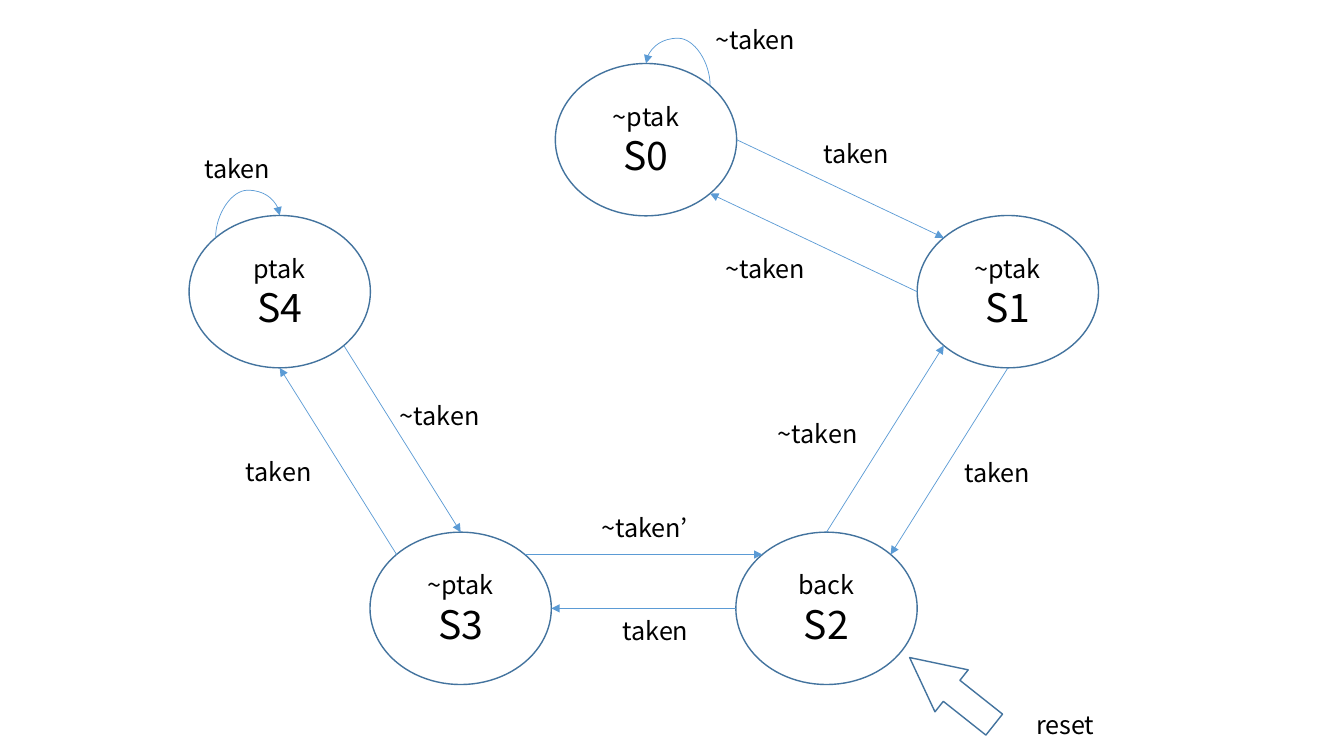
from math import cos, pi, sin

from lxml import etree
from pptx import Presentation
from pptx import util as u
from pptx.dml.color import RGBColor
from pptx.enum import shapes, text
from pptx.oxml.ns import qn

COLORS = {"outline": "43739E", "transition": "5B9BD5", "text": "000000", "arrow": "FFFFFF"}
FONT = "Noto Sans CJK JP"
STATE_SIZE = (4.57, 3.84)
STATES = {
    "S0": ("~ptak", 16.28, 3.52),
    "S1": ("~ptak", 25.4, 7.35),
    "S2": ("back", 20.83, 15.33),
    "S3": ("~ptak", 11.61, 15.33),
    "S4": ("ptak", 7.05, 7.35),
}
TRANSITIONS = [
    ("S0", "right", "S1", "top left"),
    ("S1", "left", "S0", "bottom right"),
    ("S1", "bottom", "S2", "top right"),
    ("S2", "top", "S1", "bottom left"),
    ("S3", "top right", "S2", "top left"),
    ("S2", "left", "S3", "right"),
    ("S3", "top left", "S4", "bottom"),
    ("S4", "bottom right", "S3", "top"),
]
SELF_LOOPS = [("S0", "top right", 270), ("S4", "top left", 90)]
LOOP_BULGE = 213100
LABELS = [
    ("~taken", 17.78, 0.48),
    ("~taken", 18.03, 6.27),
    ("~taken", 19.35, 10.41),
    ("~taken", 9.83, 9.96),
    ("~taken’", 14.91, 12.78),
    ("taken", 20.5, 3.35),
    ("taken", 24.05, 11.4),
    ("taken", 15.44, 15.37),
    ("taken", 5.94, 11.38),
    ("taken", 4.9, 3.73),
    ("reset", 25.86, 17.75),
]
LABEL_WIDTHS = {"~taken": 2.62, "~taken’": 2.77, "taken": 2.16, "reset": 2.01}
LABEL_HEIGHT = 1.02
RESET_ARROW = (22.63, 16.74, 2.72, 1.35)
STATE_FRAME = {"word_wrap": True, "vertical_anchor": text.MSO_ANCHOR.MIDDLE}
LABEL_FRAME = {"word_wrap": False, "auto_size": text.MSO_AUTO_SIZE.SHAPE_TO_FIT_TEXT}
SITES = ["top", "top left", "left", "bottom left", "bottom", "bottom right", "right", "top right"]


def apply(target, values):
    for key, value in values.items():
        setattr(target, key, value)


def cm(*lengths):
    return [u.Cm(length) for length in lengths]


def site(state, side):
    _, x, y = STATES[state]
    angle = SITES.index(side) * pi / 4
    return x - STATE_SIZE[0] / 2 * sin(angle), y - STATE_SIZE[1] / 2 * cos(angle)


def write(paragraph, words, size):
    run = paragraph.add_run()
    run.text = words
    apply(run.font, {"name": FONT, "size": u.Pt(size)})
    run.font.color.rgb = RGBColor.from_string(COLORS["text"])


def outline(part, color, width):
    part.line.color.rgb = RGBColor.from_string(COLORS[color])
    part.line.width = u.Pt(width)


def add_arrow(slide, kind, start, end):
    arrow = slide.shapes.add_connector(kind, *cm(*start, *end))
    outline(arrow, "transition", 0.5)
    etree.SubElement(arrow.line._get_or_add_ln(), qn("a:tailEnd"), type="triangle")
    etree.SubElement(arrow._element.spPr, qn("a:effectLst"))
    return arrow


def add_self_loop(slide, state, side, rotation):
    start, end = site(state, side), site(state, "top")
    x, y = [(a + b) / 2 for a, b in zip(start, end)]
    turn = 1 if rotation == 90 else -1
    dx, dy = turn * (start[1] - y), turn * (x - start[0])
    loop = add_arrow(slide, shapes.MSO_CONNECTOR.CURVE, (x + dx, y + dy), (x - dx, y - dy))
    properties = loop._element.spPr
    properties.find(qn("a:xfrm")).set("rot", str(rotation * 60000))
    guides = properties.find(qn("a:prstGeom")).find(qn("a:avLst"))
    etree.SubElement(guides, qn("a:gd"), name="adj1", fmla=f"val {LOOP_BULGE}")


def add_state(slide, name):
    prediction, x, y = STATES[name]
    width, height = STATE_SIZE
    state = slide.shapes.add_shape(
        shapes.MSO_SHAPE.OVAL, *cm(x - width / 2, y - height / 2, width, height))
    state.shadow.inherit = False
    state.fill.background()
    outline(state, "outline", 1)
    frame = state.text_frame
    apply(frame, STATE_FRAME)
    for paragraph, words, size in (
            (frame.paragraphs[0], prediction, 18), (frame.add_paragraph(), name, 28)):
        paragraph.alignment = text.PP_ALIGN.CENTER
        write(paragraph, words, size)


def add_label(slide, words, left, top):
    label = slide.shapes.add_textbox(*cm(left, top, LABEL_WIDTHS[words], LABEL_HEIGHT))
    apply(label.text_frame, LABEL_FRAME)
    write(label.text_frame.paragraphs[0], words, 18)


def add_reset_arrow(slide):
    reset = slide.shapes.add_shape(shapes.MSO_SHAPE.LEFT_ARROW, *cm(*RESET_ARROW))
    reset.shadow.inherit = False
    reset.rotation = 38.4
    reset.adjustments[1] = 1
    reset.fill.solid()
    reset.fill.fore_color.rgb = RGBColor.from_string(COLORS["arrow"])
    outline(reset, "outline", 1)


def main():
    deck = Presentation()
    apply(deck, {"slide_width": u.Cm(33.87), "slide_height": u.Cm(19.05)})
    slide = deck.slides.add_slide(deck.slide_layouts[6])
    for name in STATES:
        add_state(slide, name)
    for origin, exit_side, target, entry_side in TRANSITIONS:
        add_arrow(slide, shapes.MSO_CONNECTOR.STRAIGHT,
                  site(origin, exit_side), site(target, entry_side))
    for self_loop in SELF_LOOPS:
        add_self_loop(slide, *self_loop)
    for label in LABELS:
        add_label(slide, *label)
    add_reset_arrow(slide)
    deck.save("out.pptx")


if __name__ == "__main__":
    main()
